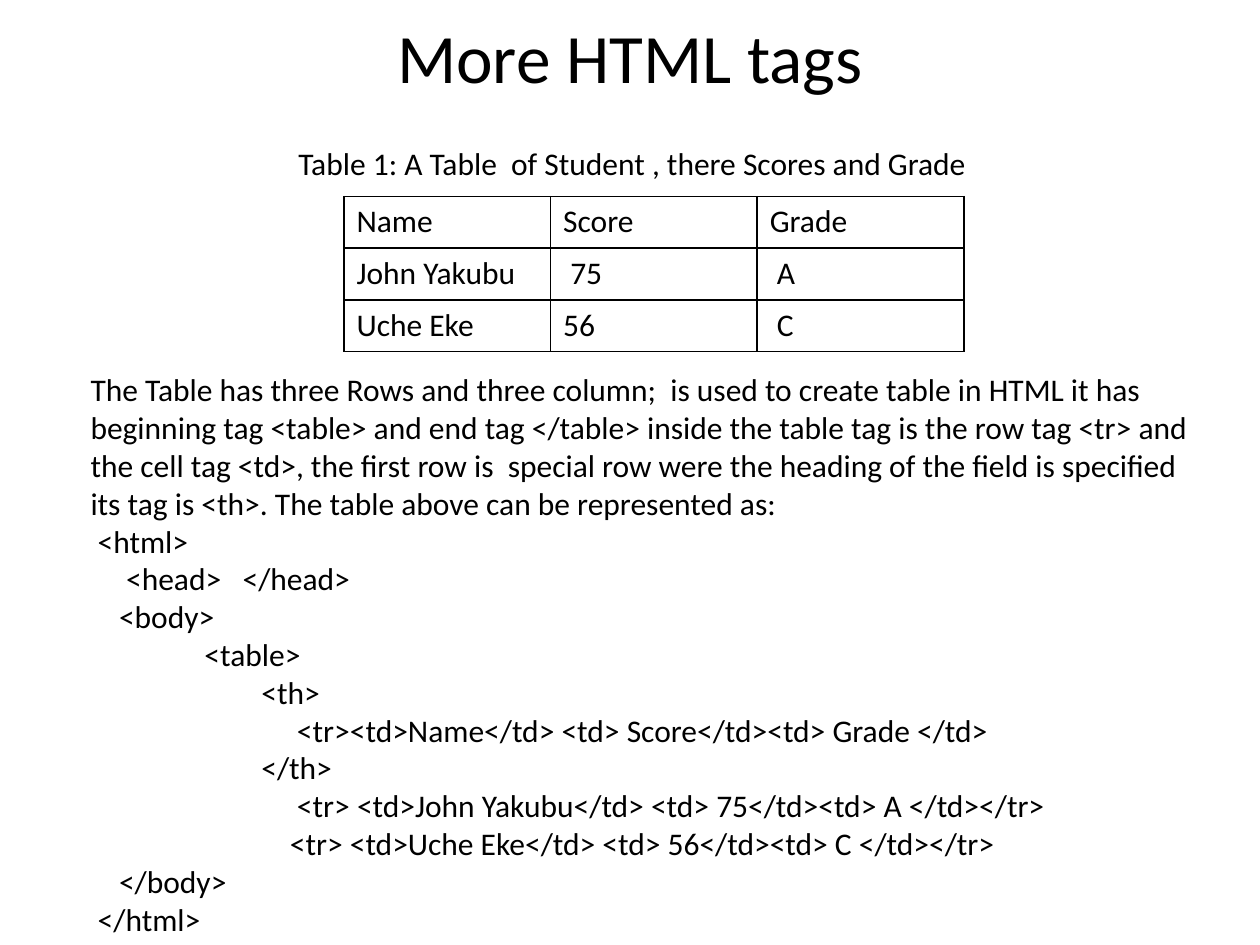
from lxml import etree
from pptx import Presentation
from pptx.dml.color import RGBColor
from pptx.enum.text import MSO_ANCHOR as Anchor, MSO_AUTO_SIZE as AutoSize, PP_ALIGN as Align
from pptx.oxml.ns import qn
from pptx.util import Inches, Pt

FONT = "Calibri"
BLACK = "000000"
SPACE = 0.0565  # width in inches of one space at 18 pt

SCORES = [
    ["Name", "Score", "Grade"],
    ["John Yakubu", " 75", " A"],
    ["Uche Eke", "56", " C"],
]
EXPLANATION = (
    "The Table has three Rows and three column;  is used to create table in HTML "
    "it has beginning tag <table> and end tag </table> inside the table tag is the "
    "row tag <tr> and the cell tag <td>, the first row is  special row were the "
    "heading of the field is specified its tag is <th>. The table above can be "
    "represented as:"
)
# Indent in spaces, then the line of markup
MARKUP = [
    (1, "<html>"),
    (5, "<head>   </head>"),
    (4, "<body>"),
    (16, "<table>"),
    (24, "<th>"),
    (29, "<tr><td>Name</td> <td> Score</td><td> Grade </td>"),
    (24, "</th>"),
    (29, "<tr> <td>John Yakubu</td> <td> 75</td><td> A </td></tr>"),
    (28, "<tr> <td>Uche Eke</td> <td> 56</td><td> C </td></tr>"),
    (4, "</body>"),
    (1, "</html>"),
]


def rgb(color):
    return RGBColor.from_string(color)


def write(paragraph, text, size=18, indent=0):
    paragraph.text = text
    for run in paragraph.runs:
        run.font.name = FONT
        run.font.size = Pt(size)
        run.font.color.rgb = rgb(BLACK)
    if indent:
        properties = paragraph._p.get_or_add_pPr()
        properties.set("marL", str(Inches(indent * SPACE)))
        properties.set("indent", "0")


def add_text(slide, left, top, width, height, lines, size=18, grow=True):
    box = slide.shapes.add_textbox(Inches(left), Inches(top), Inches(width), Inches(height))
    frame = box.text_frame
    frame.word_wrap = True
    frame.auto_size = AutoSize.SHAPE_TO_FIT_TEXT if grow else AutoSize.NONE
    for number, (indent, text) in enumerate(lines):
        paragraph = frame.add_paragraph() if number else frame.paragraphs[0]
        write(paragraph, text, size, indent)
    return frame


def set_borders(cell, color, width):
    properties = cell._tc.get_or_add_tcPr()
    for position, side in enumerate(("lnL", "lnR", "lnT", "lnB")):
        line = etree.Element(qn(f"a:{side}"), w=str(Pt(width)))
        fill = etree.SubElement(line, qn("a:solidFill"))
        etree.SubElement(fill, qn("a:srgbClr"), val=color)
        properties.insert(position, line)


def add_grid(slide, left, top, column_width, row_height, rows):
    columns = len(rows[0])
    table = slide.shapes.add_table(
        len(rows), columns, Inches(left), Inches(top),
        Inches(column_width * columns), Inches(row_height * len(rows)),
    ).table
    table.first_row = table.horz_banding = False
    for column in table.columns:
        column.width = Inches(column_width)
    for r, row in enumerate(rows):
        table.rows[r].height = Inches(row_height)
        for c, text in enumerate(row):
            cell = table.cell(r, c)
            write(cell.text_frame.paragraphs[0], text)
            cell.fill.background()
            set_borders(cell, BLACK, 1)


def main():
    deck = Presentation()
    deck.slide_width, deck.slide_height = Inches(10), Inches(7.5)
    slide = deck.slides.add_slide(deck.slide_layouts[6])

    # Title
    title = add_text(slide, 0.5, 0.08, 9, 0.72, [(0, "More HTML tags")], 39.6, grow=False)
    title.vertical_anchor = Anchor.MIDDLE
    title.paragraphs[0].alignment = Align.CENTER

    # Score table with its caption
    add_grid(slide, 2.73, 1.56, 1.64, 0.41, SCORES)
    add_text(slide, 2.27, 1.09, 5.7, 0.4,
             [(0, "Table 1: A Table  of Student , there Scores and Grade")])

    # Explanation and markup
    add_text(slide, 0.62, 2.89, 8.98, 5.86, [(0, EXPLANATION)] + MARKUP)

    deck.save("out.pptx")


if __name__ == "__main__":
    main()
